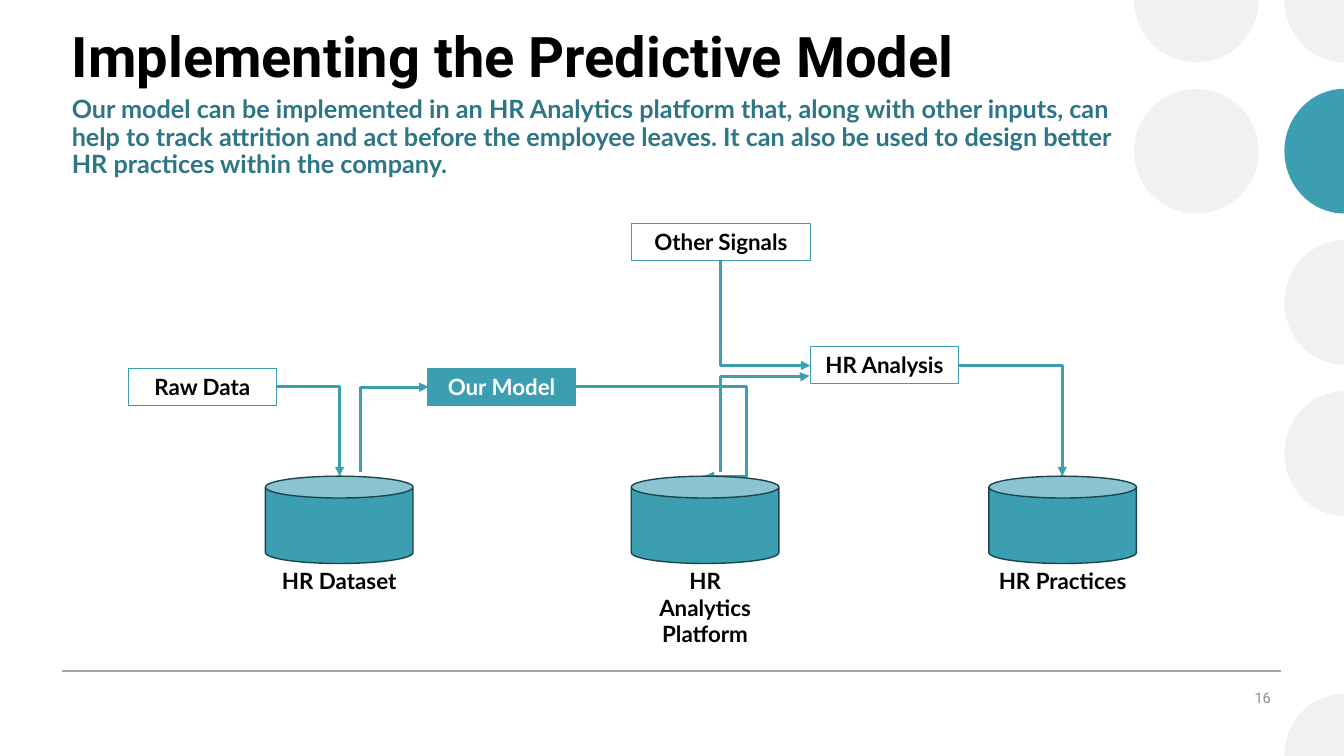
import math

from lxml import etree
from pptx import Presentation
from pptx.dml.color import RGBColor
from pptx.enum.shapes import MSO_CONNECTOR, MSO_SHAPE
from pptx.enum.text import MSO_ANCHOR, PP_ALIGN
from pptx.oxml.ns import qn
from pptx.util import Cm, Pt

LEFT, CENTER, RIGHT = PP_ALIGN.LEFT, PP_ALIGN.CENTER, PP_ALIGN.RIGHT
TOP, MIDDLE = MSO_ANCHOR.TOP, MSO_ANCHOR.MIDDLE
STRAIGHT, ELBOW = MSO_CONNECTOR.STRAIGHT, MSO_CONNECTOR.ELBOW
COLORS = {
    "teal": "3B9EB1", "dark_teal": "2C7685", "outline": "1A454E",
    "circle": "F3F1F0", "rule": "A6A6A6", "number": "8C8C8C",
    "black": "000000", "white": "FFFFFF",
}
RGB = {name: RGBColor.from_string(value) for name, value in COLORS.items()}
WIDTH, HEIGHT = 33.87, 19.05


def write_text(shape, text, size=16, font="Lato", color="black", bold=True,
               align=CENTER, anchor=TOP, spacing=1.0):
    frame = shape.text_frame
    frame.word_wrap = True
    frame.vertical_anchor = anchor
    paragraph = frame.paragraphs[0]
    paragraph.alignment = align
    paragraph.line_spacing = spacing
    run = paragraph.add_run()
    run.text = text
    run.font.size = Pt(size)
    run.font.name = font
    run.font.bold = bold
    run.font.color.rgb = RGB[color]


def add_line(start, end, kind=ELBOW, color="teal", weight=2.25,
             preset=None, vertical=False, bend=None):
    """Draw a line in cm; vertical makes an elbow leave its start up or down."""
    (x1, y1), (x2, y2) = start, end
    across, down = abs(x2 - x1), abs(y2 - y1)
    width, height = (down, across) if vertical else (across, down)
    left, top = (x1 + x2 - width) / 2, (y1 + y2 - height) / 2
    line = slide.shapes.add_connector(
        kind, Cm(left), Cm(top), Cm(left + width), Cm(top + height))
    line.line.color.rgb = RGB[color]
    line.line.width = Pt(weight)
    properties = line._element.spPr
    etree.SubElement(properties, qn("a:effectLst"))
    if preset:
        etree.SubElement(properties.find(qn("a:ln")), qn("a:tailEnd"), type="triangle")
        geometry = properties.find(qn("a:prstGeom"))
        geometry.set("prst", preset)
        if bend:
            etree.SubElement(geometry.find(qn("a:avLst")), qn("a:gd"),
                             name="adj1", fmla=f"val {round(bend * 100000)}")
    if vertical:
        transform = properties.find(qn("a:xfrm"))
        upward = y2 < y1
        transform.set("rot", str((90 if upward else 270) * 60000))
        transform.set("flipH", "1")
        if upward:
            transform.set("flipV", "1")


presentation = Presentation()
presentation.slide_width, presentation.slide_height = Cm(WIDTH), Cm(HEIGHT)
slide = presentation.slides.add_slide(presentation.slide_layouts[5])
shapes = slide.shapes

# Circles cut off at the slide edges: quarter arcs, then a slide corner if any
RADIUS, EDGE_RADIUS, PITCH = 1.57, 1.5, 3.81
ARC_HANDLE = 0.55
circles = [shapes.add_shape(MSO_SHAPE.OVAL, Cm(28.58), Cm(PITCH - RADIUS),
                            Cm(2 * RADIUS), Cm(2 * RADIUS))]
for center_x, row, radius_x, quarters, corners in [
    (30.15, 0, RADIUS, (0, 90), []),
    (WIDTH, 5, EDGE_RADIUS, (180,), [(WIDTH, HEIGHT)]),
    (WIDTH, 3, EDGE_RADIUS, (90, 180), []),
    (WIDTH, 2, EDGE_RADIUS, (90, 180), []),
    (WIDTH, 1, EDGE_RADIUS, (90, 180), []),
    (WIDTH, 0, EDGE_RADIUS, (90,), [(WIDTH, 0)]),
]:
    units = []
    for quarter in quarters:
        cosine, sine = math.cos(math.radians(quarter)), math.sin(math.radians(quarter))
        units += [(cosine, sine),
                  (cosine - ARC_HANDLE * sine, sine + ARC_HANDLE * cosine),
                  (ARC_HANDLE * cosine - sine, ARC_HANDLE * sine + cosine)]
    units.append((-sine, cosine))
    points = [(center_x + radius_x * x, row * PITCH + RADIUS * y) for x, y in units]
    points = [(Cm(x), Cm(y)) for x, y in points + corners]
    builder = shapes.build_freeform(*points[0])
    builder.add_line_segments(points[1:], close=True)
    circle = builder.convert_to_shape()
    segments = list(circle._element.iter(qn("a:lnTo")))
    for index in range(0, 3 * len(quarters), 3):
        curve = etree.Element(qn("a:cubicBezTo"))
        segments[index].addprevious(curve)
        for segment in segments[index:index + 3]:
            curve.append(segment[0])
            segment.getparent().remove(segment)
    circles.append(circle)
for index, circle in enumerate(circles):
    circle.shadow.inherit = False
    circle.fill.solid()
    circle.fill.fore_color.rgb = RGB["teal" if index == 5 else "circle"]
    circle.line.fill.background()

add_line((1.57, 16.91), (32.28, 16.91), kind=STRAIGHT, color="rule", weight=1)

# Heading
title = shapes.title
title.left, title.top, title.width, title.height = Cm(1.56), Cm(0.42), Cm(29.46), Cm(3.53)
write_text(title, "Implementing the Predictive Model", size=40, font="Roboto", align=LEFT)
summary = shapes.add_textbox(Cm(1.56), Cm(2.32), Cm(27.3), Cm(2.29))
write_text(
    summary,
    "Our model can be implemented in an HR Analytics platform that, along with other "
    "inputs, can help to track attrition and act before the employee leaves. It can also "
    "be used to design better HR practices within the company.",
    size=18, color="dark_teal", align=LEFT, spacing=0.9)

# Process boxes
BOX_WIDTH, BOX_HEIGHT = 3.72, 0.94
for name, left, top, width, filled in [
    ("Raw Data", 3.24, 9.28, BOX_WIDTH, False),
    ("Our Model", 10.78, 9.28, BOX_WIDTH, True),
    ("HR Analysis", 20.43, 8.73, BOX_WIDTH, False),
    ("Other Signals", 15.91, 5.63, 4.52, False),
]:
    box = shapes.add_shape(MSO_SHAPE.RECTANGLE, Cm(left), Cm(top), Cm(width), Cm(BOX_HEIGHT))
    box.shadow.inherit = False
    if filled:
        box.fill.solid()
        box.fill.fore_color.rgb = RGB["teal"]
    else:
        box.fill.background()
    box.line.color.rgb = RGB["teal"]
    box.line.width = Pt(0.75)
    write_text(box, name, color="white" if filled else "black")

# Flow arrows
for start, end, preset, vertical, bend in [
    ((6.96, 9.75), (8.56, 12), "bentConnector2", False, None),
    ((9.09, 11.9), (10.8, 9.75), "bentConnector3", True, 0.996),
    ((14.5, 9.75), (17.76, 12), "bentConnector3", False, 1.322),
    ((24.15, 9.21), (26.77, 12), "bentConnector2", False, None),
    ((18.16, 6.57), (20.42, 9.21), "bentConnector2", True, None),
    ((18.16, 11.9), (20.4, 9.47), "bentConnector3", True, 0.989),
]:
    add_line(start, end, preset=preset, vertical=vertical, bend=bend)

# Data stores with their labels
for name, left, label_height in [
    ("HR Dataset", 6.69, 0.94),
    ("HR Analytics Platform", 15.91, 1.63),
    ("HR Practices", 24.92, 0.94),
]:
    store = shapes.add_shape(MSO_SHAPE.CAN, Cm(left), Cm(12), Cm(BOX_WIDTH), Cm(2.2))
    store.shadow.inherit = False
    store.fill.solid()
    store.fill.fore_color.rgb = RGB["teal"]
    store.line.color.rgb = RGB["outline"]
    store.line.width = Pt(1)
    label = shapes.add_textbox(Cm(left), Cm(14.16), Cm(BOX_WIDTH), Cm(label_height))
    write_text(label, name)

slide_number = shapes.add_textbox(Cm(30.02), Cm(17.06), Cm(2.26), Cm(1.02))
write_text(slide_number, "16", size=10.5, font="Roboto", color="number", bold=False,
           align=RIGHT, anchor=MIDDLE)

presentation.save("out.pptx")
